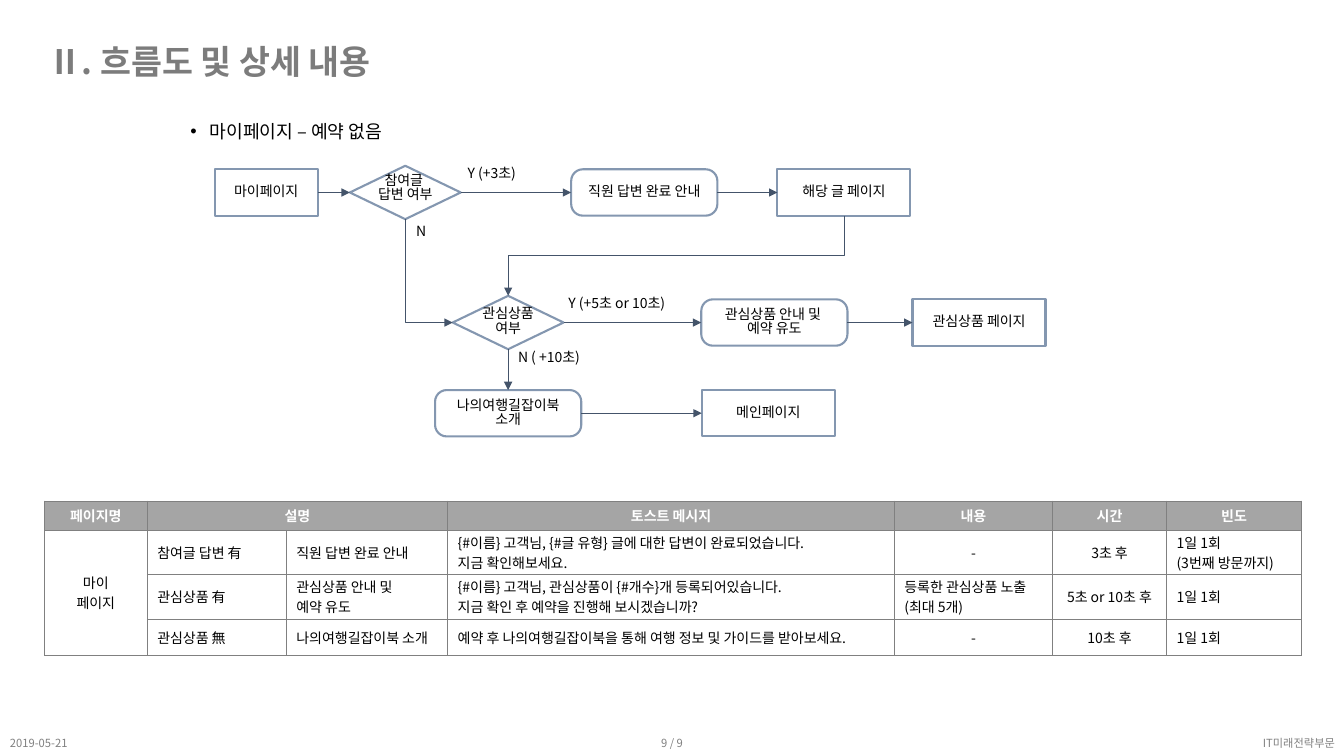
from dataclasses import dataclass

from lxml import etree
from pptx import Presentation
from pptx import util as u
from pptx.dml.color import RGBColor
from pptx.enum import shapes, text
from pptx.oxml import ns

FONT = "Noto Sans CJK KR"
BLACK = RGBColor(0x00, 0x00, 0x00)
WHITE = RGBColor(0xFF, 0xFF, 0xFF)
GRAY = RGBColor(0x80, 0x80, 0x80)
TITLE_GRAY = RGBColor(0x7C, 0x7C, 0x7C)
HEADER_GRAY = RGBColor(0xA5, 0xA5, 0xA5)
OUTLINE = RGBColor(0x84, 0x97, 0xB0)
ARROW = RGBColor(0x44, 0x54, 0x6A)

LEFT, CENTER, RIGHT = text.PP_ALIGN.LEFT, text.PP_ALIGN.CENTER, text.PP_ALIGN.RIGHT
TOP, MIDDLE = text.MSO_ANCHOR.TOP, text.MSO_ANCHOR.MIDDLE
RECTANGLE = shapes.MSO_SHAPE.RECTANGLE
ROUNDED = shapes.MSO_SHAPE.ROUNDED_RECTANGLE
DECISION = shapes.MSO_SHAPE.FLOWCHART_DECISION
SIDE_TOP, SIDE_LEFT, SIDE_BOTTOM, SIDE_RIGHT = range(4)
NODE_HEIGHT, DECISION_HEIGHT = 0.46, 0.53
ROW_1, ROW_2, ROW_3 = 1.91, 3.2, 4.1


@dataclass
class Node:
    name: str
    kind: shapes.MSO_SHAPE
    center_x: float
    center_y: float
    width: float
    label: str = ""


@dataclass
class Label:
    left: float
    top: float
    width: float
    height: float
    words: str
    size: float = 10
    color: RGBColor = BLACK
    bold: bool = False
    align: text.PP_ALIGN = LEFT
    anchor: text.MSO_ANCHOR = TOP
    spacing: float = 0.85
    bullet: bool = False


NODES = [
    Node("my_page", RECTANGLE, 2.64, ROW_1, 1.02, "마이페이지"),
    Node("answered", DECISION, 4.02, ROW_1, 1.1),
    Node("answer_notice", ROUNDED, 6.39, ROW_1, 1.45, "직원 답변 완료 안내"),
    Node("post_page", RECTANGLE, 8.37, ROW_1, 1.32, "해당 글 페이지"),
    Node("interested", DECISION, 5.04, ROW_2, 1.1),
    Node("booking_notice", ROUNDED, 7.68, ROW_2, 1.45, "관심상품 안내 및 \n예약 유도"),
    Node("product_page", RECTANGLE, 9.71, ROW_2, 1.32, "관심상품 페이지"),
    Node("guide_intro", ROUNDED, 5.04, ROW_3, 1.45, "나의여행길잡이북 소개"),
    Node("main_page", RECTANGLE, 7.62, ROW_3, 1.32, "메인페이지"),
]
STRAIGHT_ARROWS = [
    ("my_page", SIDE_RIGHT, "answered", SIDE_LEFT),
    ("answered", SIDE_RIGHT, "answer_notice", SIDE_LEFT),
    ("answer_notice", SIDE_RIGHT, "post_page", SIDE_LEFT),
    ("interested", SIDE_RIGHT, "booking_notice", SIDE_LEFT),
    ("booking_notice", SIDE_RIGHT, "product_page", SIDE_LEFT),
    ("interested", SIDE_BOTTOM, "guide_intro", SIDE_TOP),
    ("guide_intro", SIDE_RIGHT, "main_page", SIDE_LEFT),
]
LABELS = [
    Label(3.63, 1.68, 0.78, 0.44, "참여글 \n답변 여부", align=CENTER),
    Label(4.65, 3, 0.78, 0.44, "관심상품 여부", align=CENTER),
    Label(4.54, 1.61, 0.97, 0.27, "Y (+3초)"),
    Label(5.54, 2.9, 1.33, 0.27, "Y (+5초 or 10초)"),
    Label(5.04, 3.43, 1.27, 0.27, "N ( +10초)"),
    Label(4.03, 2.18, 0.38, 0.27, "N"),
    Label(0.38, 0.4, 5.04, 0.5, "Ⅱ. 흐름도 및 상세 내용", 24, TITLE_GRAY, True, spacing=0.9),
    Label(1.79, 1.04, 2.45, 0.43, "마이페이지 – 예약 없음", 13, spacing=1.5, bullet=True),
    Label(0, 7.26, 2.25, 0.24, "2019-05-21", 8, GRAY, anchor=MIDDLE),
    Label(9.96, 7.26, 3.38, 0.24, "IT미래전략부문", 8, GRAY, align=RIGHT, anchor=MIDDLE),
    Label(5.54, 7.26, 2.25, 0.24, "9 / 9", 8, GRAY, align=CENTER, anchor=MIDDLE),
]
COLUMN_WIDTHS = [1.02, 1.38, 1.6, 4.43, 1.57, 1.13, 1.34]
ROW_HEIGHTS = [0.29, 0.43, 0.43, 0.36]
CENTERED_COLUMNS = (0, 5)
TABLE_ROWS = [
    ["페이지명", "설명", "", "토스트 메시지", "내용", "시간", "빈도"],
    ["마이\n페이지", "참여글 답변 有", "직원 답변 완료 안내",
     "{#이름} 고객님, {#글 유형} 글에 대한 답변이 완료되었습니다. \n지금 확인해보세요.",
     "-", "3초 후", "1일 1회\n(3번째 방문까지)"],
    ["", "관심상품 有", "관심상품 안내 및 \n예약 유도",
     "{#이름} 고객님, 관심상품이 {#개수}개 등록되어있습니다. \n지금 확인 후 예약을 진행해 보시겠습니까?",
     "등록한 관심상품 노출 \n(최대 5개)", "5초 or 10초 후", "1일 1회"],
    ["", "관심상품 無", "나의여행길잡이북 소개",
     "예약 후 나의여행길잡이북을 통해 여행 정보 및 가이드를 받아보세요.",
     "-", "10초 후", "1일 1회"],
]


def write_text(frame, words: str, *, size: float = 10, color: RGBColor = BLACK,
               bold: bool = False, align=LEFT, spacing: float = 1, bullet: bool = False) -> None:
    paragraph = frame.paragraphs[0]
    paragraph.text = words.replace("\n", "\v")
    paragraph.alignment = align
    paragraph.line_spacing = spacing
    if bullet:
        properties = paragraph._p.get_or_add_pPr()
        properties.set("marL", str(u.Inches(0.19)))
        properties.set("indent", str(u.Inches(-0.19)))
        etree.SubElement(properties, ns.qn("a:buFont"), typeface="Arial")
        etree.SubElement(properties, ns.qn("a:buChar"), char="•")
    for run in paragraph.runs:
        run.font.name, run.font.size, run.font.bold = FONT, u.Pt(size), bold
        run.font.color.rgb = color
        etree.SubElement(run._r.rPr, ns.qn("a:ea"), typeface=FONT)


def add_node(slide, node: Node):
    height = DECISION_HEIGHT if node.kind == DECISION else NODE_HEIGHT
    shape = slide.shapes.add_shape(
        node.kind, u.Inches(node.center_x - node.width / 2), u.Inches(node.center_y - height / 2),
        u.Inches(node.width), u.Inches(height))
    shape.shadow.inherit = False
    shape.fill.background()
    shape.line.color.rgb, shape.line.width = OUTLINE, u.Pt(1.5)
    if node.kind == ROUNDED:
        shape.adjustments[0] = 0.25
    if node.label:
        shape.text_frame.word_wrap = True
        shape.text_frame.vertical_anchor = MIDDLE
        write_text(shape.text_frame, node.label, align=CENTER, spacing=0.85)
    return shape


def add_label(slide, label: Label) -> None:
    box = slide.shapes.add_textbox(*map(u.Inches, (label.left, label.top, label.width, label.height)))
    box.text_frame.word_wrap = True
    box.text_frame.vertical_anchor = label.anchor
    write_text(box.text_frame, label.words, size=label.size, color=label.color, bold=label.bold,
               align=label.align, spacing=label.spacing, bullet=label.bullet)


def style_arrow(connector) -> None:
    connector.line.color.rgb, connector.line.width = ARROW, u.Pt(0.5)
    etree.SubElement(connector.line._get_or_add_ln(), ns.qn("a:tailEnd"), type="triangle")
    etree.SubElement(connector._element.spPr, ns.qn("a:effectLst"))


def add_straight_arrow(slide, start, start_side: int, end, end_side: int) -> None:
    connector = slide.shapes.add_connector(shapes.MSO_CONNECTOR.STRAIGHT, 0, 0, 0, 0)
    connector.begin_connect(start, start_side)
    connector.end_connect(end, end_side)
    style_arrow(connector)


def add_downward_elbow(slide, start: tuple[int, int], end: tuple[int, int], preset: str) -> None:
    """Leave the start point downwards: the frame is turned by a quarter about its centre."""
    center_x, center_y = (start[0] + end[0]) // 2, (start[1] + end[1]) // 2
    half_width, half_height = abs(end[1] - start[1]) // 2, abs(end[0] - start[0]) // 2
    connector = slide.shapes.add_connector(
        shapes.MSO_CONNECTOR.ELBOW, center_x - half_width, center_y - half_height,
        center_x + half_width, center_y + half_height)
    properties = connector._element.spPr
    properties.find(ns.qn("a:prstGeom")).set("prst", preset)
    frame = properties.find(ns.qn("a:xfrm"))
    goes_right = end[0] > start[0]
    frame.set("rot", str((270 if goes_right else 90) * 60000))
    if goes_right:
        frame.set("flipH", "1")
    style_arrow(connector)


def style_cell(cell, fill: RGBColor) -> None:
    cell.vertical_anchor = MIDDLE
    cell.margin_top = cell.margin_bottom = u.Inches(0.02)
    properties = cell._tc.get_or_add_tcPr()
    for side in ("lnL", "lnR", "lnT", "lnB"):
        border = etree.SubElement(properties, ns.qn(f"a:{side}"), w=str(u.Pt(0.5)))
        solid = etree.SubElement(border, ns.qn("a:solidFill"))
        etree.SubElement(solid, ns.qn("a:srgbClr"), val=str(GRAY))
    cell.fill.solid()
    cell.fill.fore_color.rgb = fill


def add_message_table(slide) -> None:
    table = slide.shapes.add_table(
        len(ROW_HEIGHTS), len(COLUMN_WIDTHS), u.Inches(0.44), u.Inches(4.97),
        u.Inches(sum(COLUMN_WIDTHS)), u.Inches(sum(ROW_HEIGHTS))).table
    for column, width in zip(table.columns, COLUMN_WIDTHS):
        column.width = u.Inches(width)
    for row, height in zip(table.rows, ROW_HEIGHTS):
        row.height = u.Inches(height)
    for row_index, row in enumerate(TABLE_ROWS):
        header = row_index == 0
        for column_index, words in enumerate(row):
            cell = table.cell(row_index, column_index)
            style_cell(cell, HEADER_GRAY if header else WHITE)
            if words:
                centered = header or words == "-" or column_index in CENTERED_COLUMNS
                write_text(cell.text_frame, words, color=WHITE if header else BLACK,
                           bold=header, align=CENTER if centered else LEFT)
    table.cell(0, 1).merge(table.cell(0, 2))
    table.cell(1, 0).merge(table.cell(3, 0))


def main() -> None:
    presentation = Presentation()
    presentation.slide_width, presentation.slide_height = u.Inches(13.33), u.Inches(7.5)
    slide = presentation.slides.add_slide(presentation.slide_layouts[6])

    # Flow chart
    nodes = {node.name: add_node(slide, node) for node in NODES}
    for start, start_side, end, end_side in STRAIGHT_ARROWS:
        add_straight_arrow(slide, nodes[start], start_side, nodes[end], end_side)
    answered, post_page, interested = (nodes[n] for n in ("answered", "post_page", "interested"))
    add_downward_elbow(slide, (answered.left + answered.width // 2, answered.top + answered.height),
                       (interested.left, interested.top + interested.height // 2), "bentConnector2")
    add_downward_elbow(slide, (post_page.left + post_page.width // 2, post_page.top + post_page.height),
                       (interested.left + interested.width // 2, interested.top), "bentConnector3")

    # Message table, then title, branch labels and footer
    add_message_table(slide)
    for label in LABELS:
        add_label(slide, label)
    presentation.save("out.pptx")


if __name__ == "__main__":
    main()
